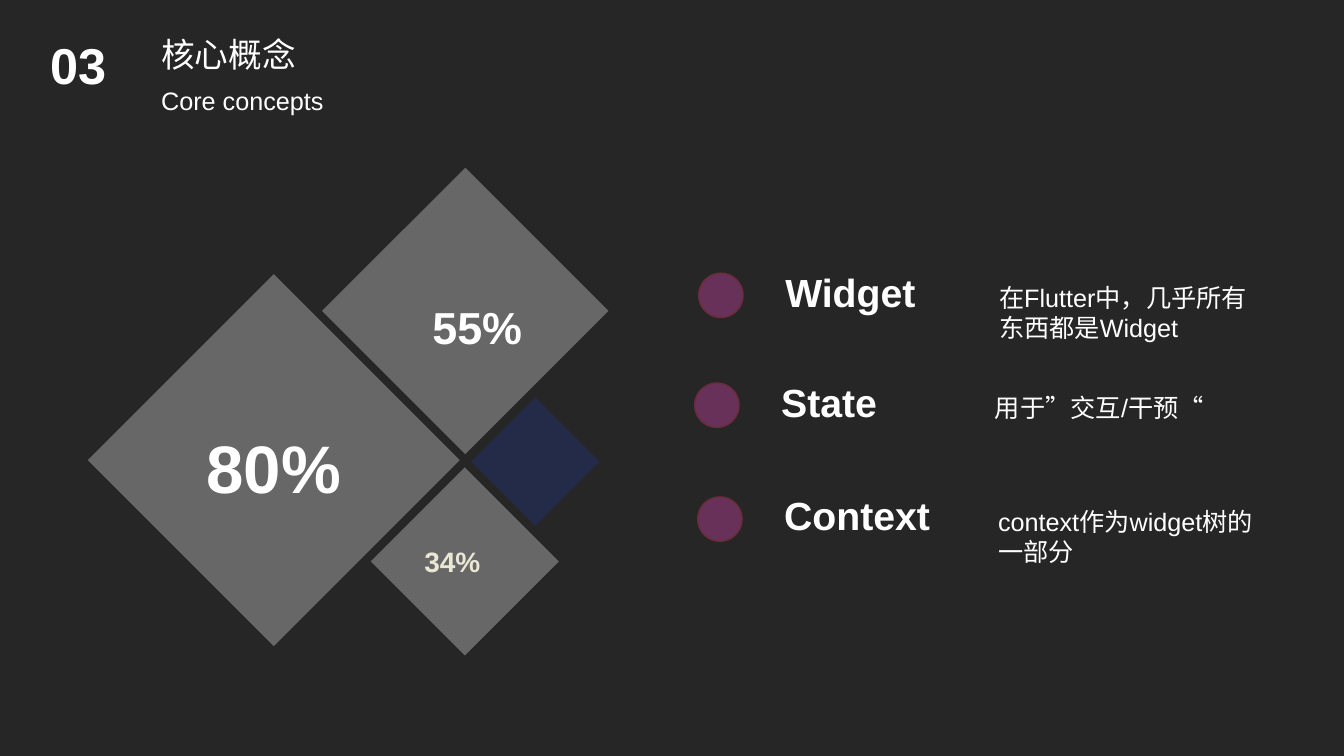
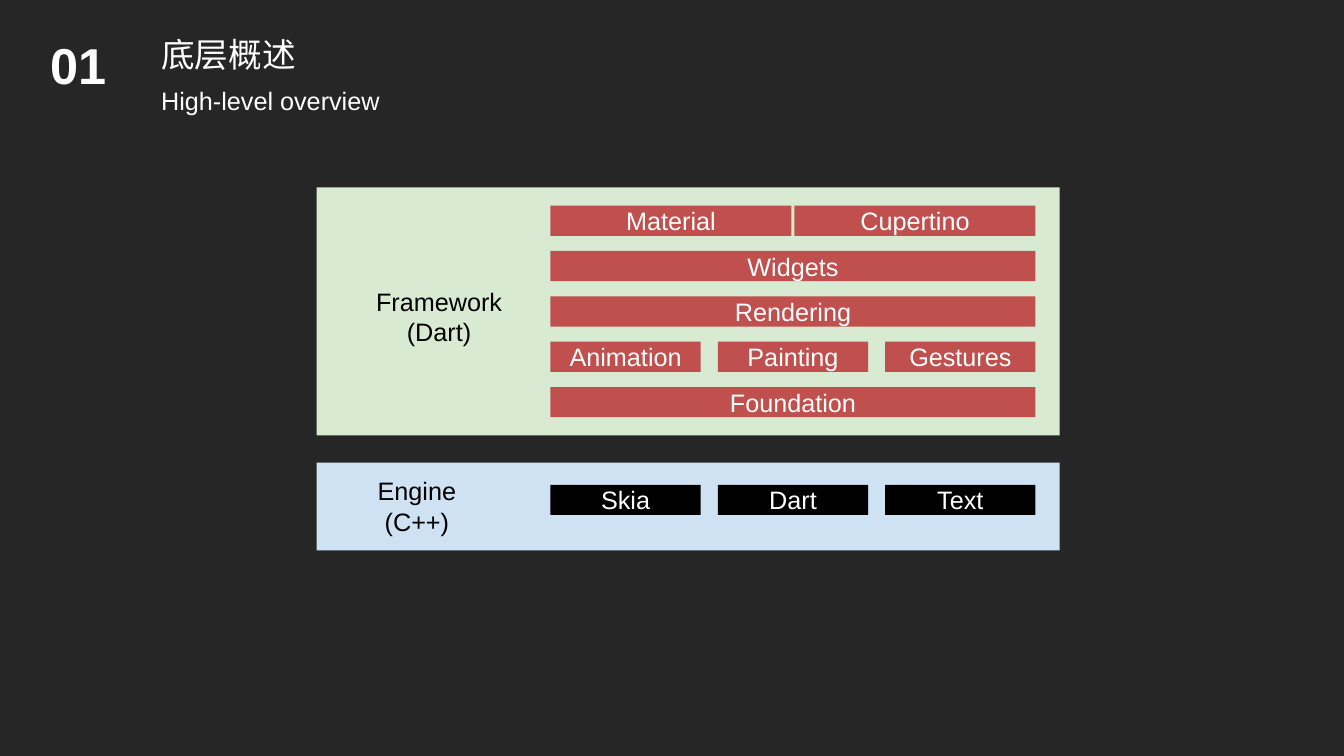
from dataclasses import dataclass

from lxml.etree import SubElement
from pptx import Presentation
from pptx.dml.color import RGBColor
from pptx.enum.shapes import MSO_SHAPE
from pptx.enum.text import MSO_ANCHOR, MSO_AUTO_SIZE, PP_ALIGN
from pptx.oxml.ns import qn
from pptx.util import Inches, Pt


@dataclass(frozen=True)
class Theme:
    font: str = "Arial"
    background: str = "262626"
    white: str = "FFFFFF"
    black: str = "000000"
    cream: str = "EAE7D4"
    navy: str = "1D379B"
    dot: str = "67315A"
    dot_line: str = "6A2D38"
    framework: str = "D9EAD3"
    framework_bar: str = "C0504D"
    engine: str = "CFE2F3"
    number_size: int = 36
    title_size: int = 24
    body_size: int = 18
    heading_size: int = 28
    diamond_opacity: int = 30


THEME = Theme()

BAR_LEFT, BAR_WIDTH, BAR_HEIGHT = 5.46, 4.81, 0.3
BAR_PITCH, BAR_GAP = 0.45, 0.17
PANEL_LEFT, PANEL_WIDTH = 3.14, 7.37


def box(left, top, width, height):
    return [Inches(value) for value in (left, top, width, height)]


def write(shape, text, size, color=THEME.white, bold=False,
          align=PP_ALIGN.LEFT, anchor=MSO_ANCHOR.TOP, inset=None):
    frame = shape.text_frame
    frame.text = text
    frame.word_wrap = True
    frame.auto_size = MSO_AUTO_SIZE.NONE
    frame.vertical_anchor = anchor
    if inset is not None:
        frame.margin_left = frame.margin_right = Inches(inset)
        frame.margin_top = frame.margin_bottom = Inches(inset)
    for paragraph in frame.paragraphs:
        paragraph.alignment = align
        paragraph.font.name = THEME.font
        paragraph.font.size = Pt(size)
        paragraph.font.bold = bold
        paragraph.font.color.rgb = RGBColor.from_string(color)


def add_text(slide, bounds, text, size, **style):
    write(slide.shapes.add_textbox(*box(*bounds)), text, size, **style)


def add_filled(slide, bounds, color, preset=MSO_SHAPE.RECTANGLE):
    shape = slide.shapes.add_shape(preset, *box(*bounds))
    shape.shadow.inherit = False
    shape.fill.solid()
    shape.fill.fore_color.rgb = RGBColor.from_string(color)
    shape.line.fill.background()
    return shape


def add_titled_slide(presentation, number, title, subtitle):
    slide = presentation.slides.add_slide(presentation.slide_layouts.get_by_name("Title Only"))
    heading = slide.shapes.title
    heading.left, heading.top, heading.width, heading.height = box(1.5, 0.29, 1.85, 0.5)
    write(heading, title, THEME.title_size)
    add_text(slide, (0.4, 0.29, 0.94, 0.71), number, THEME.number_size, bold=True)
    add_text(slide, (1.5, 0.8, 3.97, 0.4), subtitle, THEME.body_size)
    return slide


def add_diamond(slide, left, top, side, color):
    diamond = add_filled(slide, (left, top, side, side), color)
    diamond.rotation = 45
    color_element = diamond.fill._xPr.find(qn("a:solidFill"))[0]
    alpha = SubElement(color_element, qn("a:alpha"))
    alpha.set("val", str(THEME.diamond_opacity * 1000))


def add_concept(slide, left, top, name, description):
    dot = add_filled(slide, (left, top, 0.44, 0.44), THEME.dot, MSO_SHAPE.OVAL)
    dot.line.color.rgb = RGBColor.from_string(THEME.dot_line)
    dot.line.width = Pt(1)
    add_text(slide, (left + 0.76, top - 0.1, 2.1, 0.57), name, THEME.heading_size, bold=True)
    add_text(slide, (left + 2.88, top + 0.04, 2.75, 0.71), description, THEME.body_size)


def add_bar_row(slide, top, names, color, gap=BAR_GAP):
    width = (BAR_WIDTH - gap * (len(names) - 1)) / len(names)
    for column, name in enumerate(names):
        left = BAR_LEFT + column * (width + gap)
        bar = add_filled(slide, (left, top, width, BAR_HEIGHT), color)
        write(bar, name, THEME.body_size, align=PP_ALIGN.CENTER,
              anchor=MSO_ANCHOR.MIDDLE, inset=0.1)


def add_panel(slide, top, height, color, label, label_bounds):
    add_filled(slide, (PANEL_LEFT, top, PANEL_WIDTH, height), color)
    add_text(slide, label_bounds, label, THEME.body_size, color=THEME.black,
             align=PP_ALIGN.CENTER, inset=0.1)


def build_concepts(presentation):
    slide = add_titled_slide(presentation, "03", "核心概念", "Core concepts")
    for left, top, side, color in (
        (1.41, 3.26, 2.61, THEME.white),
        (3.61, 2.08, 2.01, THEME.white),
        (3.95, 4.91, 1.32, THEME.white),
        (4.86, 4.13, 0.9, THEME.navy),
    ):
        add_diamond(slide, left, top, side, color)
    for bounds, text, size, color in (
        ((1.95, 4.18, 1.94, 0.91), "80%", 48, THEME.white),
        ((4.19, 2.92, 1.95, 0.64), "55%", 32, THEME.white),
        ((4.11, 5.35, 2.16, 0.44), "34%", 20, THEME.cream),
    ):
        add_text(slide, bounds, text, size, color=color, bold=True)
    for left, top, name, description in (
        (6.93, 2.71, "Widget", "在Flutter中，几乎所有东西都是Widget"),
        (6.89, 3.8, "State", "用于”交互/干预“"),
        (6.92, 4.93, "Context", "context作为widget树的一部分"),
    ):
        add_concept(slide, left, top, name, description)


def build_overview(presentation):
    slide = add_titled_slide(presentation, "01", "底层概述", "High-level overview")
    add_panel(slide, 1.86, 2.46, THEME.framework, "Framework\n(Dart)", (3.47, 2.74, 1.77, 0.68))
    layers = (
        (("Material", "Cupertino"), 0.03),
        (("Widgets",), BAR_GAP),
        (("Rendering",), BAR_GAP),
        (("Animation", "Painting", "Gestures"), BAR_GAP),
        (("Foundation",), BAR_GAP),
    )
    for row, (names, gap) in enumerate(layers):
        add_bar_row(slide, 2.04 + row * BAR_PITCH, names, THEME.framework_bar, gap)
    add_panel(slide, 4.59, 0.87, THEME.engine, "Engine\n(C++)", (3.51, 4.62, 1.25, 0.68))
    add_bar_row(slide, 4.81, ("Skia", "Dart", "Text"), THEME.black)


def main():
    presentation = Presentation()
    presentation.slide_width = Inches(13.33)
    presentation.slide_height = Inches(7.5)
    background = presentation.slide_master.background.fill
    background.solid()
    background.fore_color.rgb = RGBColor.from_string(THEME.background)
    build_concepts(presentation)
    build_overview(presentation)
    presentation.save("out.pptx")


if __name__ == "__main__":
    main()
